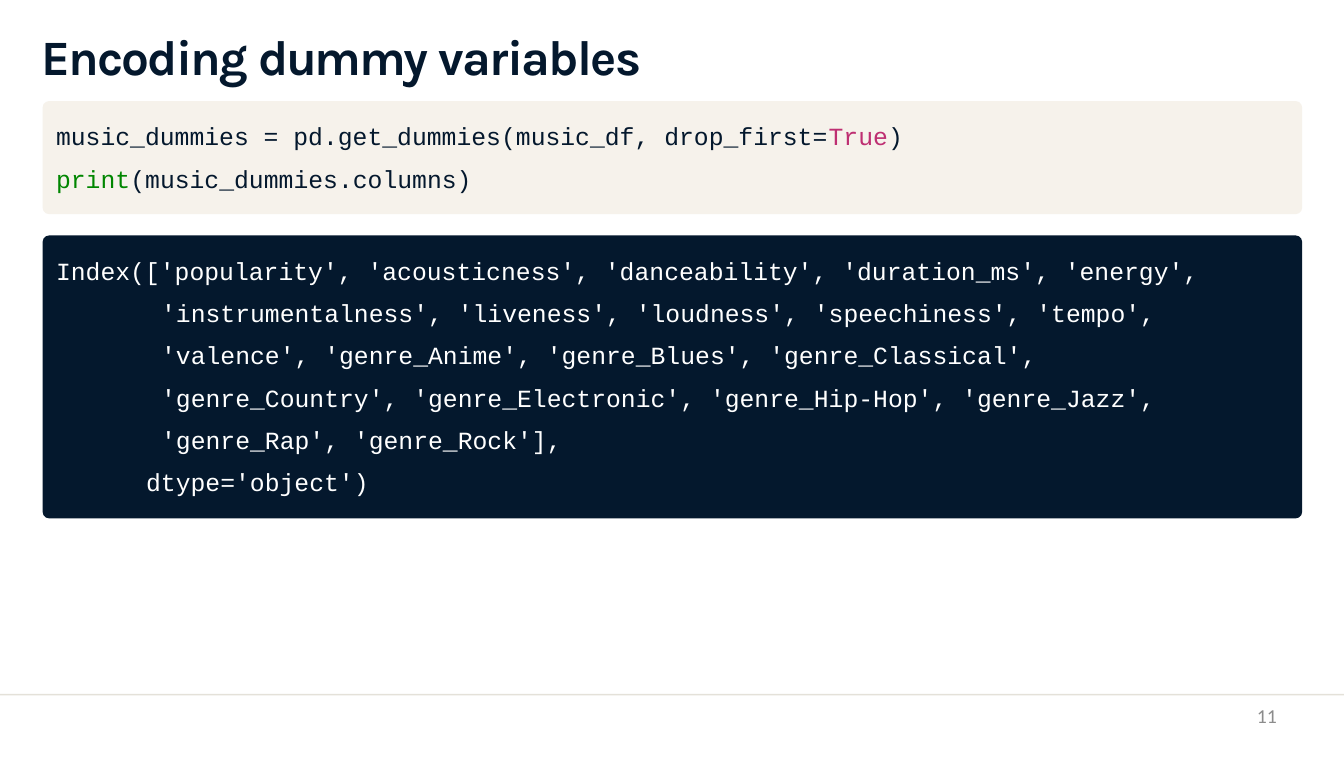
from pptx import Presentation
from pptx.dml.color import RGBColor
from pptx.enum.shapes import MSO_SHAPE
from pptx.enum.text import PP_ALIGN
from pptx.util import Inches, Pt

NAVY, WHITE, CREAM = "04182D", "FFFFFF", "F6F2EB"
PINK, GREEN, GREY, RULE = "BE2F72", "008600", "8C8C8C", "E4E1D9"

deck = Presentation()
deck.slide_width, deck.slide_height = Inches(17.01), Inches(9.58)
slide = deck.slides.add_slide(deck.slide_layouts[6])


def panel(kind, left, top, width, height, fill):
    shape = slide.shapes.add_shape(
        kind, Inches(left), Inches(top), Inches(width), Inches(height))
    shape.shadow.inherit = False
    shape.fill.solid()
    shape.fill.fore_color.rgb = RGBColor.from_string(fill)
    shape.line.fill.background()
    return shape


def write(left, top, width, height, lines, font, size, pitch=None):
    """Add a text box; each line is an indent in inches and its runs,
    a run being text, colour and letter spacing in points."""
    box = slide.shapes.add_textbox(
        Inches(left), Inches(top), Inches(width), Inches(height))
    frame = box.text_frame
    frame.word_wrap = True
    frame.margin_left = frame.margin_right = frame.margin_bottom = 0
    frame.margin_top = Inches(0.02)
    for i, (indent, runs) in enumerate(lines):
        para = frame.add_paragraph() if i else frame.paragraphs[0]
        para._p.get_or_add_pPr().set("marL", str(Inches(indent)))
        if pitch:
            para.line_spacing = Pt(pitch)
        for text, color, gap in runs:
            run = para.add_run()
            run.text = text
            run.font.name, run.font.size = font, Pt(size)
            run.font.color.rgb = RGBColor.from_string(color)
            if gap:
                run._r.get_or_add_rPr().set("spc", str(round(gap * 100)))
    return frame


panel(MSO_SHAPE.RECTANGLE, 0, 8.78, 17.01, 0.02, RULE)

title = write(0.53, 0.31, 13.15, 0.78, [
    (0, [("Encoding ", NAVY, -1.8),
         ("dummy ", NAVY, -2.2),
         ("variables", NAVY, -1.6)]),
], "Karla", 45)
for run in title.paragraphs[0].runs:
    run.font.bold = True

code = [
    (0, [("music_dummies = pd.get_dummies(music_df, drop_first=", NAVY, 0),
         ("True", PINK, 0),
         (")", NAVY, 0)]),
    (0, [("print", GREEN, 0),
         ("(music_dummies.columns)", NAVY, 0)]),
]
result = [(indent, [(text, WHITE, 0)]) for indent, text in [
    (0, "Index(['popularity', 'acousticness', 'danceability', 'duration_ms', 'energy',"),
    (1.33, "'instrumentalness', 'liveness', 'loudness', 'speechiness', 'tempo',"),
    (1.33, "'valence', 'genre_Anime', 'genre_Blues', 'genre_Classical',"),
    (1.33, "'genre_Country', 'genre_Electronic', 'genre_Hip-Hop', 'genre_Jazz',"),
    (1.33, "'genre_Rap', 'genre_Rock'],"),
    (1.14, "dtype='object')"),
]]
for top, height, fill, lines in [(1.28, 1.43, CREAM, code),
                                 (2.98, 3.58, NAVY, result)]:
    card = panel(MSO_SHAPE.ROUNDED_RECTANGLE, 0.54, top, 15.94, height, fill)
    card.adjustments[0] = 0.08 / height
    write(0.71, top + 0.07, 15, height - 0.33, lines, "Courier New", 22.5, 38.6)

number = write(12.25, 8.89, 3.91, 0.48, [(0, [("11", GREY, 0)])], "Calibri", 18)
number.paragraphs[0].alignment = PP_ALIGN.RIGHT

deck.save("out.pptx")
